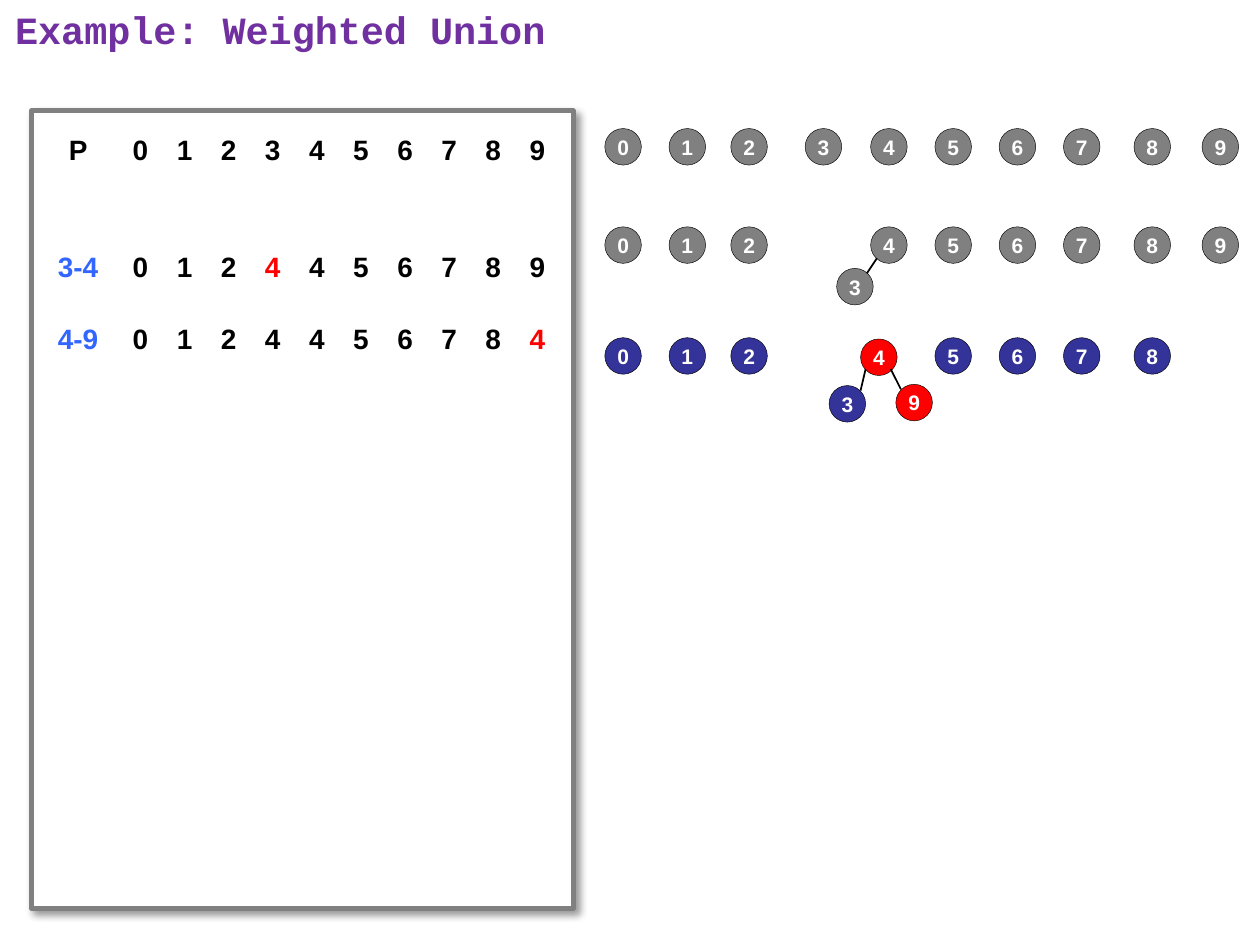
import pptx
import pptx.dml.color
import pptx.enum.shapes
import pptx.enum.text
import pptx.oxml
import pptx.oxml.ns
import pptx.util
from pptx.util import Inches

BLACK, WHITE, GRAY = "000000", "FFFFFF", "808080"
RED, NAVY, BLUE, PURPLE = "FF0000", "333399", "3366FF", "7030A0"
COLUMNS = [4.8, 5.31, 5.8, 6.39, 6.91, 7.42, 7.93, 8.44, 9, 9.54]
PARENT_ROWS = [("P", "0123456789", None), None,
               ("3-4", "0124456789", 3), ("4-9", "0124456784", 9)]
FORESTS = [
    (1.02, GRAY, {}, []),
    (1.8, GRAY, {3: (6.64, 2.13, GRAY)}, [(6.88, 2.17, 6.96, 2.05)]),
    (2.68, NAVY,
     {3: (6.58, 3.06, NAVY), 4: (6.83, 2.69, RED), 9: (7.11, 3.05, RED)},
     [(6.83, 3.1, 6.87, 2.93), (7.07, 2.93, 7.15, 3.09)]),
]


def color(value):
    return pptx.dml.color.RGBColor.from_string(value)


class SlideBuilder:
    """Hold the slide style and add each kind of element to the slide."""

    def __init__(self, slide):
        self.slide = slide
        self.font_name = "Arial"
        self.node_size = 0.29

    def format_text(self, paragraph, size, text_color, name=None, centered=True):
        align = pptx.enum.text.PP_ALIGN
        paragraph.alignment = align.CENTER if centered else align.LEFT
        font = paragraph.font
        font.name = name or self.font_name
        font.size = pptx.util.Pt(size)
        font.bold = True
        font.color.rgb = color(text_color)

    def title(self, text):
        title = self.slide.shapes.title
        title.left, title.top = Inches(0.02), Inches(0)
        title.width, title.height = Inches(9.9), Inches(0.5)
        frame = title.text_frame
        frame.text = text
        frame.word_wrap = True
        frame.auto_size = pptx.enum.text.MSO_AUTO_SIZE.NONE
        frame.vertical_anchor = pptx.enum.text.MSO_ANCHOR.TOP
        self.format_text(frame.paragraphs[0], 22, PURPLE, "Courier New", False)

    def shape(self, kind, left, top, width, height, fill, line, line_width):
        shape = self.slide.shapes.add_shape(
            kind, Inches(left), Inches(top), Inches(width), Inches(height))
        shape.shadow.inherit = False
        shape.fill.solid()
        shape.fill.fore_color.rgb = color(fill)
        shape.line.color.rgb = color(line)
        shape.line.width = pptx.util.Pt(line_width)
        return shape

    def panel(self, left, top, width, height):
        panel = self.shape(pptx.enum.shapes.MSO_SHAPE.RECTANGLE,
                           left, top, width, height, WHITE, GRAY, 2.75)
        effects = panel._element.spPr.find(pptx.oxml.ns.qn("a:effectLst"))
        effects.append(pptx.oxml.parse_xml(
            f'<a:outerShdw {pptx.oxml.ns.nsdecls("a")} blurRad="50800" '
            'dist="38100" dir="2700000" algn="tl" rotWithShape="0">'
            '<a:srgbClr val="000000"><a:alpha val="40000"/></a:srgbClr>'
            '</a:outerShdw>'))

    def node(self, label, left, top, fill):
        node = self.shape(pptx.enum.shapes.MSO_SHAPE.OVAL, left, top,
                          self.node_size, self.node_size, fill, BLACK, 0.25)
        frame = node.text_frame
        frame.margin_left = frame.margin_right = 0
        frame.margin_top = frame.margin_bottom = 0
        frame.word_wrap = False
        frame.vertical_anchor = pptx.enum.text.MSO_ANCHOR.MIDDLE
        frame.text = label
        self.format_text(frame.paragraphs[0], 12, WHITE)

    def edge(self, *ends):
        edge = self.slide.shapes.add_connector(
            pptx.enum.shapes.MSO_CONNECTOR.STRAIGHT, *map(Inches, ends))
        edge.line.color.rgb = color(BLACK)
        edge.line.width = pptx.util.Pt(1)
        edge._element.spPr.append(pptx.oxml.parse_xml(
            f'<a:effectLst {pptx.oxml.ns.nsdecls("a")}/>'))

    def cell(self, cell, text, text_color):
        cell.fill.background()
        cell.margin_left = cell.margin_right = 0
        cell.margin_top = cell.margin_bottom = 0
        cell.vertical_anchor = pptx.enum.text.MSO_ANCHOR.MIDDLE
        cell.text = text
        self.format_text(cell.text_frame.paragraphs[0], 16, text_color)

    def parent_table(self, left, top, rows):
        table = self.slide.shapes.add_table(
            len(rows), 11, Inches(left), Inches(top),
            Inches(4.12), Inches(2.07)).table
        table.first_row = table.horz_banding = False
        for index, column in enumerate(table.columns):
            column.width = Inches(0.35 if index else 0.64)
        for index, row in enumerate(rows):
            table.rows[index].height = Inches(0.57 if row else 0.36)
            label, parents, changed = row or ("", [""] * 10, None)
            label_color = BLACK if label == "P" else BLUE
            self.cell(table.cell(index, 0), label, label_color)
            for item, parent in enumerate(parents):
                self.cell(table.cell(index, item + 1), parent,
                          RED if item == changed else BLACK)

    def forest(self, top, fill, moved, edges):
        for item, left in enumerate(COLUMNS):
            self.node(str(item), *moved.get(item, (left, top, fill)))
        for ends in edges:
            self.edge(*ends)


def main():
    presentation = pptx.Presentation()
    presentation.slide_width = Inches(10)
    presentation.slide_height = Inches(7.5)
    slide = presentation.slides.add_slide(presentation.slide_layouts[5])
    builder = SlideBuilder(slide)
    builder.title("Example: Weighted Union")
    builder.panel(0.25, 0.88, 4.3, 6.33)
    builder.parent_table(0.3, 0.91, PARENT_ROWS)
    for forest in FORESTS:
        builder.forest(*forest)
    presentation.save("out.pptx")


if __name__ == "__main__":
    main()
